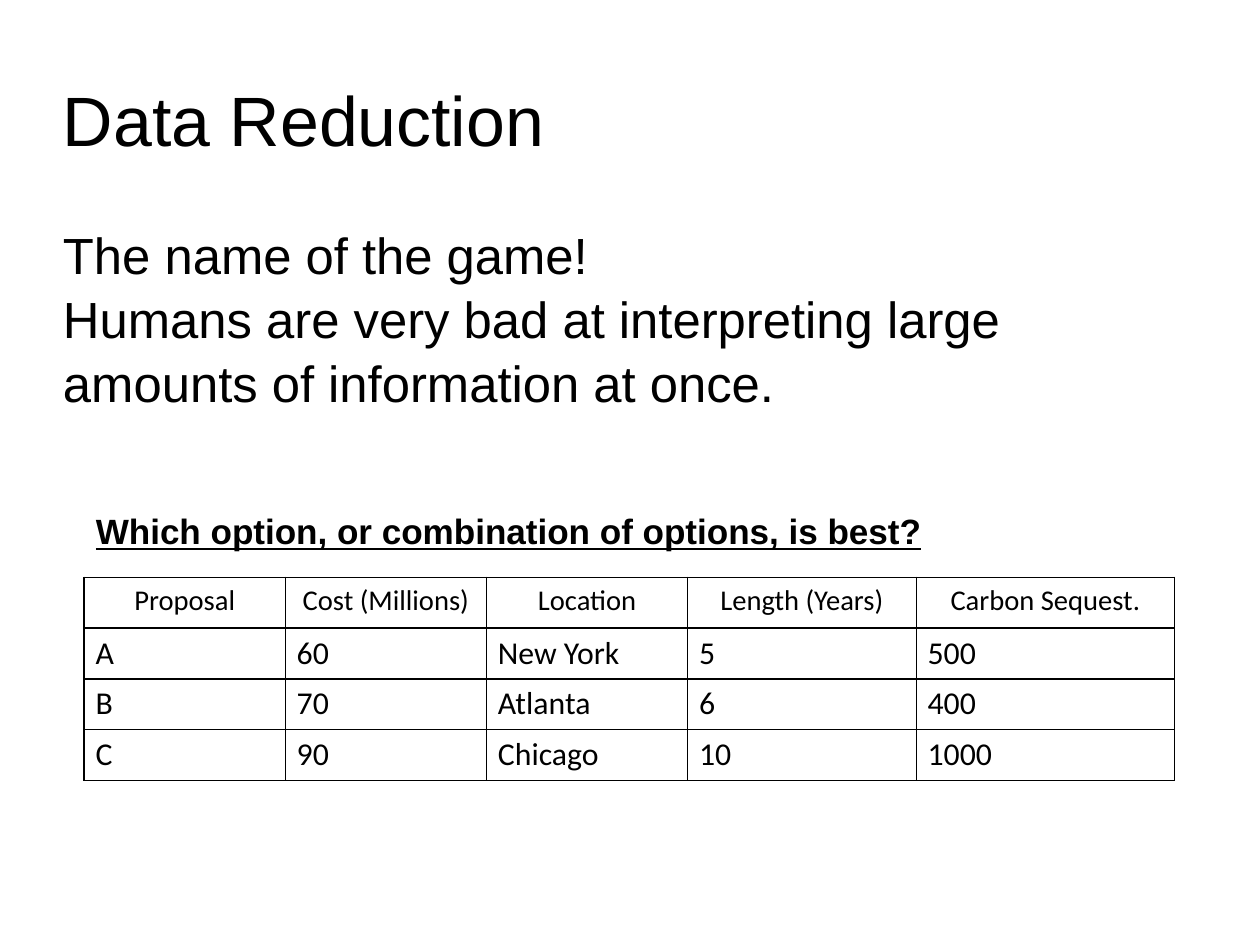
from dataclasses import dataclass

from lxml import etree
from pptx import Presentation
from pptx import util as u
from pptx.dml.color import RGBColor
from pptx.enum import text as t
from pptx.oxml import ns


@dataclass(frozen=True)
class Theme:
    ink: str = "000000"
    sans: str = "Arial"
    grid: str = "Calibri"
    title: float = 44
    body: float = 32
    ask: float = 22.1
    head: float = 18
    cell: float = 20
    rule: float = 1


@dataclass(frozen=True)
class Style:
    size: float
    font: str
    strong: bool = False
    align: t.PP_ALIGN = t.PP_ALIGN.LEFT
    space: float = 1.0


@dataclass(frozen=True)
class Block:
    box: tuple[float, float, float, float]
    lines: tuple[str, ...]
    style: Style
    pad: tuple[float, float] = (0, 0)
    anchor: t.MSO_ANCHOR = t.MSO_ANCHOR.TOP


THEME = Theme()
TITLE = Block((1.4, 0.84, 25.2, 3.5), ("Data Reduction",),
              Style(THEME.title, THEME.sans, space=1.05),
              anchor=t.MSO_ANCHOR.MIDDLE)
BLOCKS = (
    Block((1.4, 4.9, 25.2, 12.17),
          ("The name of the game!",
           "Humans are very bad at interpreting large amounts of information at once."),
          Style(THEME.body, THEME.sans, space=1.05)),
    Block((1.88, 11.2, 20.29, 1.19),
          ("Which option, or combination of options, is best?",),
          Style(THEME.ask, THEME.sans, strong=True), (0.25, 0.13)),
)
HEAD = Style(THEME.head, THEME.grid, align=t.PP_ALIGN.CENTER)
CELL = Style(THEME.cell, THEME.grid)
ROWS = (
    ("Proposal", "Cost (Millions)", "Location", "Length (Years)", "Carbon Sequest."),
    ("A", "60", "New York", "5", "500"),
    ("B", "70", "Atlanta", "6", "400"),
    ("C", "90", "Chicago", "10", "1000"),
)
WIDTHS = (4.47, 4.47, 4.47, 5.08, 5.74)
HEIGHT = 1.13


def write(frame, lines: tuple[str, ...], style: Style) -> None:
    for i, line in enumerate(lines):
        para = frame.add_paragraph() if i else frame.paragraphs[0]
        para.alignment = style.align
        para.line_spacing = style.space
        para.space_before = para.space_after = u.Pt(0)
        run = para.add_run()
        run.text = line
        font = run.font
        font.name = style.font
        font.size = u.Pt(style.size)
        font.bold = font.underline = style.strong
        font.color.rgb = RGBColor.from_string(THEME.ink)


def place(shape, block: Block) -> None:
    shape.left, shape.top, shape.width, shape.height = map(u.Cm, block.box)
    frame = shape.text_frame
    frame.word_wrap = True
    frame.auto_size = t.MSO_AUTO_SIZE.NONE
    frame.vertical_anchor = block.anchor
    frame.margin_left = frame.margin_right = u.Cm(block.pad[0])
    frame.margin_top = frame.margin_bottom = u.Cm(block.pad[1])
    write(frame, block.lines, block.style)


def edge(cell) -> None:
    props = cell._tc.get_or_add_tcPr()
    for side in ("lnL", "lnR", "lnT", "lnB"):
        line = etree.SubElement(props, ns.qn(f"a:{side}"), w=str(u.Pt(THEME.rule)))
        fill = etree.SubElement(line, ns.qn("a:solidFill"))
        etree.SubElement(fill, ns.qn("a:srgbClr"), val=THEME.ink)


def draw_table(slide) -> None:
    table = slide.shapes.add_table(
        len(ROWS), len(WIDTHS), u.Cm(1.87), u.Cm(12.83),
        u.Cm(sum(WIDTHS)), u.Cm(HEIGHT * len(ROWS))).table
    table.first_row = table.horz_banding = False
    for col, width in zip(table.columns, WIDTHS):
        col.width = u.Cm(width)
    for r, (row, words) in enumerate(zip(table.rows, ROWS)):
        row.height = u.Cm(HEIGHT)
        for cell, word in zip(row.cells, words):
            edge(cell)
            cell.fill.background()
            write(cell.text_frame, (word,), CELL if r else HEAD)


def main() -> None:
    deck = Presentation()
    deck.slide_width, deck.slide_height = u.Cm(28), u.Cm(21)
    slide = deck.slides.add_slide(deck.slide_layouts[5])
    place(slide.shapes.title, TITLE)
    for block in BLOCKS:
        place(slide.shapes.add_textbox(*map(u.Cm, block.box)), block)
    draw_table(slide)
    deck.save("out.pptx")


if __name__ == "__main__":
    main()
